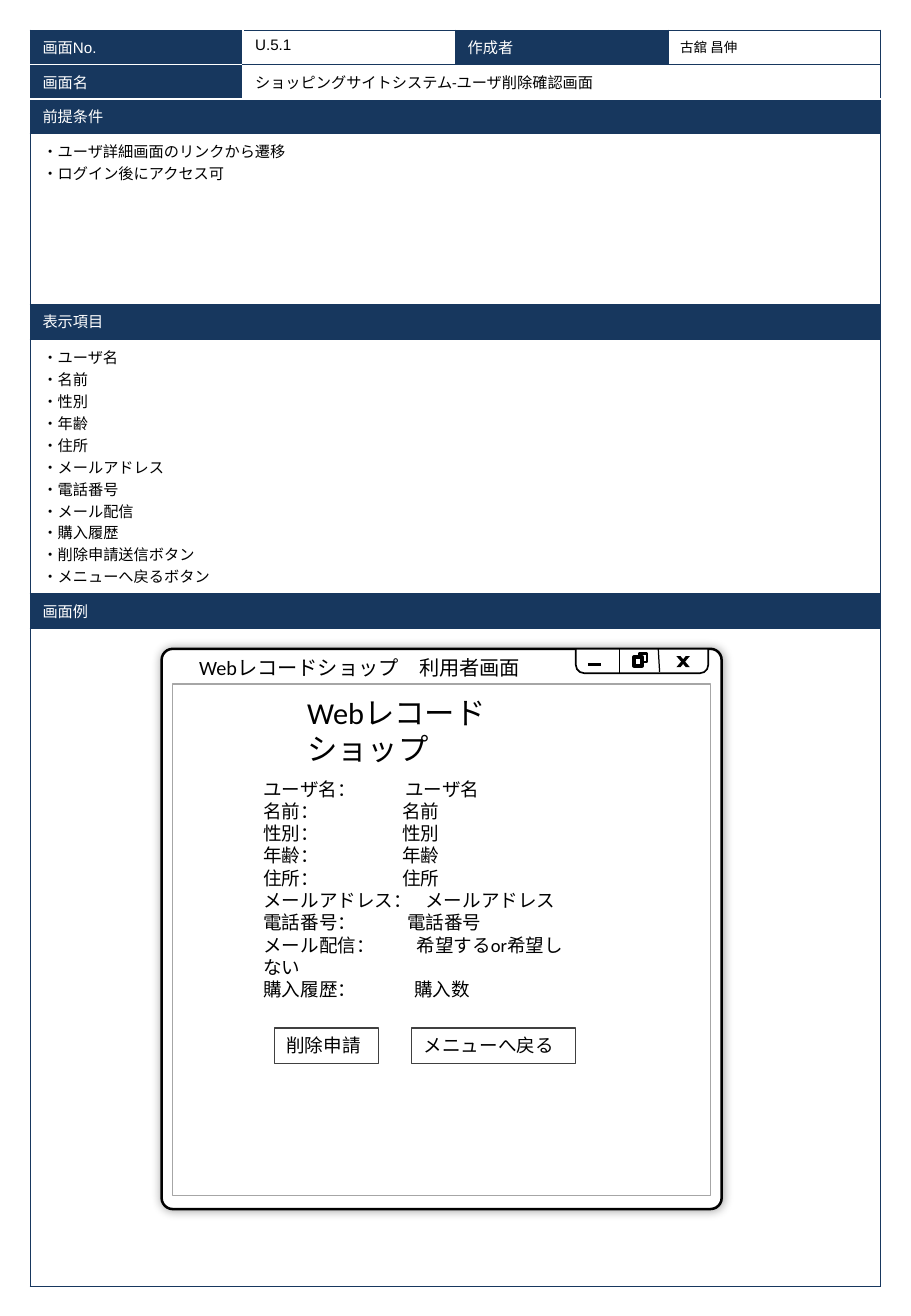
import pptx
import pptx.util
import pptx.dml.color
import pptx.enum.shapes
import pptx.enum.text
import pptx.oxml
import pptx.oxml.ns
from lxml import etree

Pt = pptx.util.Pt
qn = pptx.oxml.ns.qn
SHAPE = pptx.enum.shapes.MSO_SHAPE
COLORS = {"navy": "17375E", "white": "FFFFFF", "black": "000000",
          "gray": "A6A6A6", "dark": "404040"}

COLUMN_WIDTH = 126
ROW_HEIGHTS = [20.4, 20.4, 20.4, 101.2, 21, 150.4, 20.8, 389.8]
CONDITIONS = ["・ユーザ詳細画面のリンクから遷移", "・ログイン後にアクセス可"]
ITEMS = ["・ユーザ名", "・名前", "・性別", "・年齢", "・住所", "・メールアドレス",
         "・電話番号", "・メール配信", "・購入履歴", "・削除申請送信ボタン",
         "・メニューへ戻るボタン"]

# Label, value and the tab stop where the value starts
FIELDS = [
    ("ユーザ名：", "ユーザ名", 84.2),
    ("名前：", "名前", 82.4),
    ("性別：", "性別", 82.4),
    ("年齢：", "年齢", 82.4),
    ("住所：", "住所", 82.4),
    ("メールアドレス：", "メールアドレス", 96),
    ("電話番号：", "電話番号", 85.2),
    ("メール配信：", "希望するor希望しない", 90.8),
    ("購入履歴：", "購入数", 89.6),
]


def rgb(name):
    return pptx.dml.color.RGBColor.from_string(COLORS[name])


def write(frame, lines, size, font="Calibri", color="black", leading=1.2):
    frame.text = "\n".join(lines)
    frame.word_wrap = True
    for para in frame.paragraphs:
        para.alignment = pptx.enum.text.PP_ALIGN.LEFT
        para.line_spacing = Pt(round(size * leading, 1))
        for span in para.runs:
            span.font.size = Pt(size)
            span.font.name = font
            span.font.color.rgb = rgb(color)


def add_text(shapes, lines, left, top, width, height, size):
    box = shapes.add_textbox(Pt(left), Pt(top), Pt(width), Pt(height))
    write(box.text_frame, lines, size)
    return box


def add_box(shapes, kind, left, top, width, height, fill=None,
            line=None, weight=1, adjustments=()):
    box = shapes.add_shape(kind, Pt(left), Pt(top), Pt(width), Pt(height))
    box.shadow.inherit = False
    if fill:
        box.fill.solid()
        box.fill.fore_color.rgb = rgb(fill)
    else:
        box.fill.background()
    if line:
        box.line.color.rgb = rgb(line)
        box.line.width = Pt(weight)
    else:
        box.line.fill.background()
    for index, value in enumerate(adjustments):
        box.adjustments[index] = value
    return box


def add_line(shapes, x1, y1, x2, y2, weight):
    line = shapes.add_connector(pptx.enum.shapes.MSO_CONNECTOR.STRAIGHT,
                                Pt(x1), Pt(y1), Pt(x2), Pt(y2))
    line.line.color.rgb = rgb("black")
    line.line.width = Pt(weight)
    etree.SubElement(line._element.spPr, qn("a:effectLst"))


def add_glow(box):
    effects = box._element.spPr.find(qn("a:effectLst"))
    shadow = etree.SubElement(effects, qn("a:outerShdw"), blurRad=str(Pt(6)),
                              dist="0", dir="0", algn="ctr", rotWithShape="0")
    color = etree.SubElement(shadow, qn("a:srgbClr"), val=COLORS["black"])
    etree.SubElement(color, qn("a:alpha"), val="37000")


def set_borders(cell, white_sides):
    properties = cell._tc.get_or_add_tcPr()
    for index, side in enumerate("LRTB"):
        border = etree.Element(qn("a:ln" + side), w=str(Pt(1)))
        fill = etree.SubElement(border, qn("a:solidFill"))
        color = COLORS["white" if side in white_sides else "navy"]
        etree.SubElement(fill, qn("a:srgbClr"), val=color)
        properties.insert(index, border)


def fill_cell(table, row, column, lines, span=1, header=False, white_sides="",
              size=9, font="Arial", leading=1.45):
    cell = table.cell(row, column)
    if span > 1:
        cell.merge(table.cell(row, column + span - 1))
    for offset in range(span):
        part = table.cell(row, column + offset)
        if header:
            part.fill.solid()
            part.fill.fore_color.rgb = rgb("navy")
        else:
            part.fill.background()
        set_borders(part, white_sides)
    if lines:
        write(cell.text_frame, lines, size, font,
              "white" if header else "black", leading)


def add_sheet(page):
    frame = page.shapes.add_table(len(ROW_HEIGHTS), 4, Pt(18), Pt(18),
                                  Pt(4 * COLUMN_WIDTH), Pt(sum(ROW_HEIGHTS)))
    table = frame.table
    table.first_row = table.horz_banding = False
    for column in table.columns:
        column.width = Pt(COLUMN_WIDTH)
    for row, height in zip(table.rows, ROW_HEIGHTS):
        row.height = Pt(height)

    # Screen number, author and name
    fill_cell(table, 0, 0, ["画面No."], header=True, white_sides="RB")
    fill_cell(table, 0, 1, ["U.5.1"], white_sides="L", leading=1.15)
    fill_cell(table, 0, 2, ["作成者"], header=True)
    fill_cell(table, 0, 3, ["古舘 昌伸"], size=8)
    fill_cell(table, 1, 0, ["画面名"], header=True, white_sides="TRB")
    fill_cell(table, 1, 1, ["ショッピングサイトシステム-ユーザ削除確認画面"], span=3,
              white_sides="LB", font="Calibri")

    # Sections: a header row above a body row
    sections = [("前提条件", CONDITIONS), ("表示項目", ITEMS), ("画面例", [])]
    for index, (title, lines) in enumerate(sections):
        row = 2 + 2 * index
        fill_cell(table, row, 0, [title], span=4, header=True,
                  white_sides="T" if index == 0 else "")
        fill_cell(table, row + 1, 0, lines, span=4)


def add_window(page):
    shapes = page.shapes.add_group_shape().shapes
    window = add_box(shapes, SHAPE.ROUNDED_RECTANGLE, 95.8, 384.5, 332, 332,
                     "white", "black", 1.5, [0.02])
    add_glow(window)

    # Window controls
    controls = add_box(shapes, SHAPE.ROUND_2_SAME_RECTANGLE, 341.3, 384.5, 78.5, 14.4,
                       "white", "black", 1, [0.34, 0])
    controls.rotation = 180
    add_line(shapes, 391, 398.2, 390.2, 384.5, 0.75)
    add_line(shapes, 367.2, 398.9, 367.2, 384.5, 0.75)
    add_box(shapes, SHAPE.RECTANGLE, 378.7, 387.4, 5, 5, "white", "black", 1.5)
    add_box(shapes, SHAPE.RECTANGLE, 375.8, 389.5, 5, 5, "white", "black", 2.25)
    for flipped in ("0", "1"):
        stroke = add_box(shapes, SHAPE.PARALLELOGRAM, 401, 388.8, 7.9, 6.5,
                         "black", adjustments=[0.85])
        stroke._element.spPr.find(qn("a:xfrm")).set("flipH", flipped)
    add_line(shapes, 348.5, 393.8, 356.4, 393.8, 2.25)

    # Title bar and content area
    add_text(shapes, ["Webレコードショップ\u3000利用者画面".replace("\u3000", "　")],
             110.9, 384.5, 224.6, 21.6, 12)
    add_box(shapes, SHAPE.RECTANGLE, 102.2, 405.4, 319, 303.1, "white", "gray")


def add_button(page, label, left, width):
    button = add_box(page.shapes, SHAPE.RECTANGLE, left, 609.1, width, 20.9,
                     line="dark", weight=0.75)
    write(button.text_frame, [label], 11)
    button.text_frame.vertical_anchor = pptx.enum.text.MSO_ANCHOR.MIDDLE


def add_fields(page):
    lines = [f"{label}\t{value}" for label, value, stop in FIELDS]
    box = add_text(page.shapes, lines, 149, 457.2, 199.4, 127.4, 11)
    for para, (label, value, stop) in zip(box.text_frame.paragraphs, FIELDS):
        tabs = etree.SubElement(para._p.get_or_add_pPr(), qn("a:tabLst"))
        etree.SubElement(tabs, qn("a:tab"), pos=str(Pt(stop)), algn="l")


def main():
    deck = pptx.Presentation()
    deck.slide_width, deck.slide_height = Pt(540), Pt(779.8)
    page = deck.slides.add_slide(deck.slide_layouts[6])
    add_sheet(page)
    add_window(page)
    add_text(page.shapes, ["Webレコードショップ"], 175, 407.5, 166.3, 28.8, 18)
    add_button(page, "削除申請", 162.7, 61.9)
    add_button(page, "メニューへ戻る", 244.1, 97.2)
    add_fields(page)
    deck.save("out.pptx")


if __name__ == "__main__":
    main()
